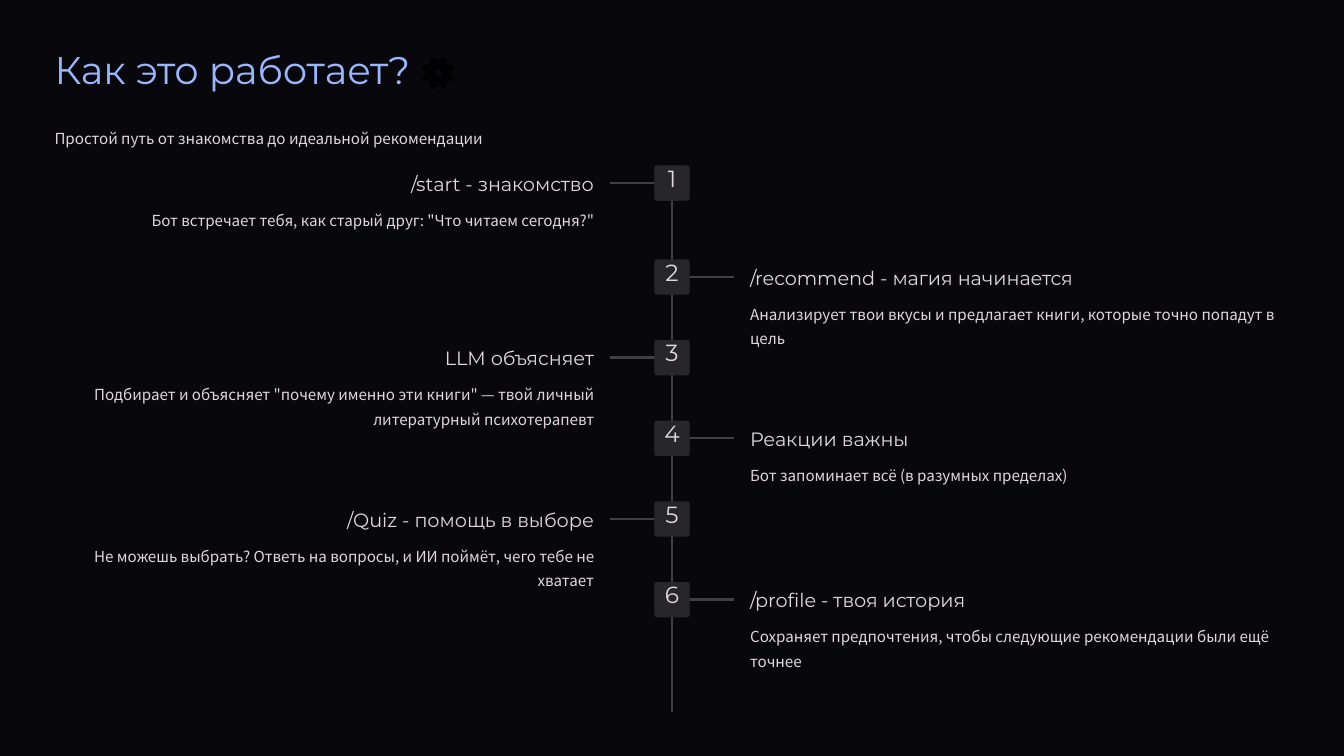
from dataclasses import dataclass

from lxml import etree
from pptx import Presentation
from pptx.dml.color import RGBColor
from pptx.enum.shapes import MSO_CONNECTOR, MSO_SHAPE
from pptx.enum.text import MSO_ANCHOR, MSO_AUTO_SIZE, PP_ALIGN
from pptx.oxml.ns import qn
from pptx.util import Pt

LEFT, CENTER, RIGHT = PP_ALIGN.LEFT, PP_ALIGN.CENTER, PP_ALIGN.RIGHT
TOP = MSO_ANCHOR.TOP
NO_FIT = MSO_AUTO_SIZE.NONE
STRAIGHT = MSO_CONNECTOR.STRAIGHT
ROUNDED = MSO_SHAPE.ROUNDED_RECTANGLE


@dataclass(frozen=True)
class Theme:
    background: RGBColor = RGBColor.from_string("07070C")
    accent: RGBColor = RGBColor.from_string("97B8FF")
    ink: RGBColor = RGBColor.from_string("E0D6DE")
    gear: RGBColor = RGBColor.from_string("000000")
    line: RGBColor = RGBColor.from_string("3F3F44")
    badge: RGBColor = RGBColor.from_string("26262B")
    heading_font: str = "Montserrat"
    body_font: str = "Noto Sans CJK TC"
    title_size: float = 33
    number_size: float = 20
    heading_size: float = 16.5
    body_size: float = 13


THEME = Theme()

MARGIN = 46.8
AXIS = 576
FULL_WIDTH = 2 * (AXIS - MARGIN)
COLUMN_GAP = 66.96
COLUMN_WIDTH = AXIS - COLUMN_GAP - MARGIN
BADGE = 30.24
BRANCH_NEAR, BRANCH_FAR = 13, 53.3
FIRST_TOP, SECOND_TOP, STEP_PITCH = 141.84, 222.3, 69.15
AXIS_BOTTOM = 610.5

STEPS = [
    ("/start - знакомство",
     'Бот встречает тебя, как старый друг: "Что читаем сегодня?"'),
    ("/recommend - магия начинается",
     "Анализирует твои вкусы и предлагает книги, которые точно попадут в цель"),
    ("LLM объясняет",
     'Подбирает и объясняет "почему именно эти книги" — твой личный '
     "литературный психотерапевт"),
    ("Реакции важны",
     "Бот запоминает всё (в разумных пределах)"),
    ("/Quiz - помощь в выборе",
     "Не можешь выбрать? Ответь на вопросы, и ИИ поймёт, чего тебе не хватает"),
    ("/profile - твоя история",
     "Сохраняет предпочтения, чтобы следующие рекомендации были ещё точнее"),
]


def write(frame, text, *, font, size, color, spacing, align=LEFT, wrap=True):
    frame.margin_left = frame.margin_top = 0
    frame.margin_right = frame.margin_bottom = 0
    frame.auto_size = NO_FIT
    frame.word_wrap = wrap
    frame.vertical_anchor = TOP
    paragraph = frame.paragraphs[0]
    paragraph.alignment = align
    paragraph.line_spacing = Pt(spacing)
    add_run(paragraph, text, font, size, color)
    return paragraph


def add_run(paragraph, text, font, size, color):
    run = paragraph.add_run()
    run.text = text
    run.font.name = font
    run.font.size = Pt(size)
    run.font.color.rgb = color


def add_text(slide, text, left, top, width, height, **style):
    box = slide.shapes.add_textbox(Pt(left), Pt(top), Pt(width), Pt(height))
    write(box.text_frame, text, **style)


def add_title(slide):
    title = slide.shapes.title
    title.left, title.top = Pt(MARGIN), Pt(37.4)
    title.width, title.height = Pt(FULL_WIDTH), Pt(41.8)
    paragraph = write(title.text_frame, "Как это работает? ",
                      font=THEME.heading_font, size=THEME.title_size,
                      color=THEME.accent, spacing=41.5)
    add_run(paragraph, "⚙️", THEME.heading_font, THEME.title_size, THEME.gear)


def add_line(slide, x1, y1, x2, y2):
    line = slide.shapes.add_connector(STRAIGHT, Pt(x1), Pt(y1), Pt(x2), Pt(y2))
    line.line.color.rgb = THEME.line
    line.line.width = Pt(2)
    etree.SubElement(line._element.spPr, qn("a:effectLst"))


def add_badge(slide, number, top):
    badge = slide.shapes.add_shape(ROUNDED, Pt(AXIS - BADGE / 2), Pt(top),
                                   Pt(BADGE), Pt(BADGE))
    badge.adjustments[0] = 0.067
    badge.shadow.inherit = False
    badge.fill.solid()
    badge.fill.fore_color.rgb = THEME.badge
    badge.line.fill.background()
    add_text(slide, str(number), AXIS - 10, top + 2.6, 20, 25.2,
             font=THEME.heading_font, size=THEME.number_size,
             color=THEME.ink, spacing=20, align=CENTER, wrap=False)


def add_step(slide, number, heading, description, top):
    on_left = number % 2 == 1
    side = -1 if on_left else 1
    align = RIGHT if on_left else LEFT
    column = MARGIN if on_left else AXIS + COLUMN_GAP
    middle = top + BADGE / 2
    add_line(slide, AXIS + side * BRANCH_NEAR, middle,
             AXIS + side * BRANCH_FAR, middle)
    add_badge(slide, number, top)
    add_text(slide, heading, column, top + 4.8, COLUMN_WIDTH, 21,
             font=THEME.heading_font, size=THEME.heading_size,
             color=THEME.ink, spacing=20.5, align=align)
    add_text(slide, description, column, top + 33.8, COLUMN_WIDTH, 42.5,
             font=THEME.body_font, size=THEME.body_size,
             color=THEME.ink, spacing=21, align=align)


def main():
    deck = Presentation()
    deck.slide_width, deck.slide_height = Pt(1152), Pt(648)
    slide = deck.slides.add_slide(deck.slide_layouts.get_by_name("Title Only"))
    slide.background.fill.solid()
    slide.background.fill.fore_color.rgb = THEME.background

    add_title(slide)
    add_text(slide, "Простой путь от знакомства до идеальной рекомендации",
             MARGIN, 105.8, FULL_WIDTH, 21.6,
             font=THEME.body_font, size=THEME.body_size,
             color=THEME.ink, spacing=21)
    add_line(slide, AXIS, FIRST_TOP, AXIS, AXIS_BOTTOM)
    for index, (heading, description) in enumerate(STEPS):
        top = SECOND_TOP + (index - 1) * STEP_PITCH if index else FIRST_TOP
        add_step(slide, index + 1, heading, description, top)
    deck.save("out.pptx")


if __name__ == "__main__":
    main()
